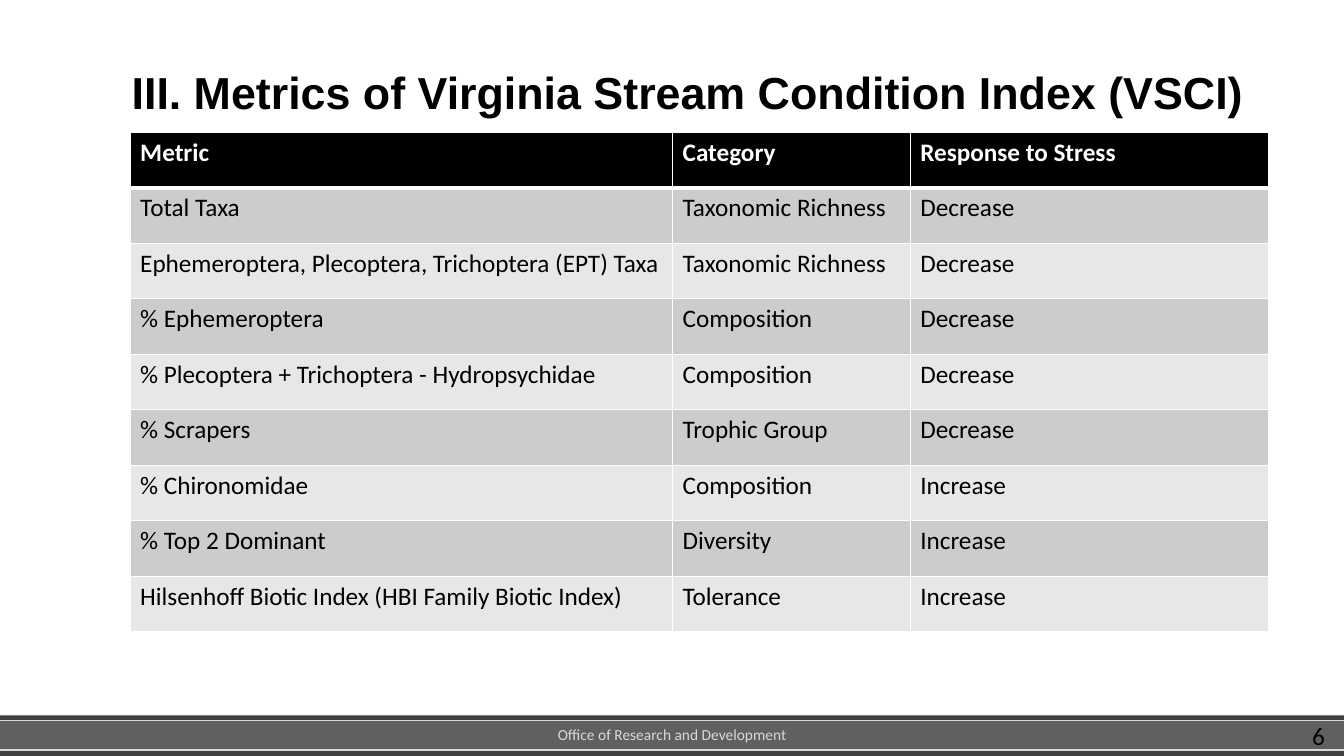
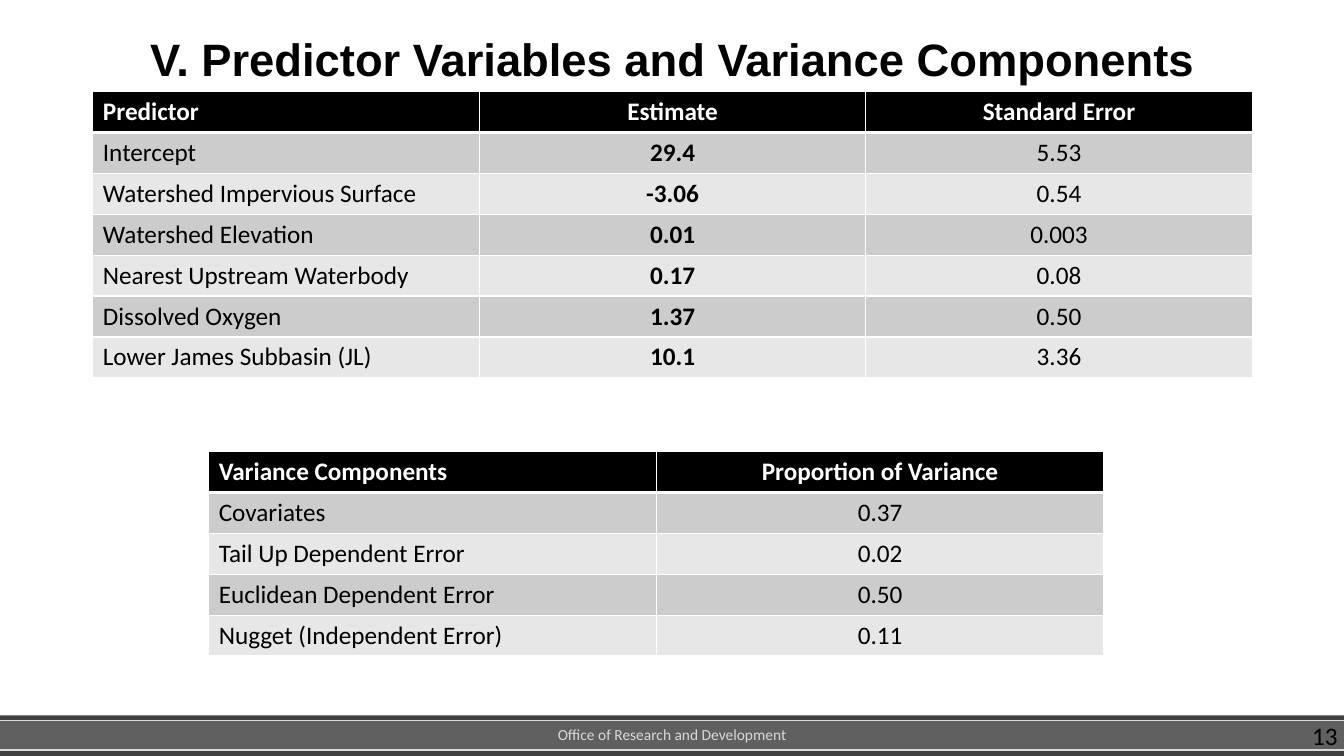
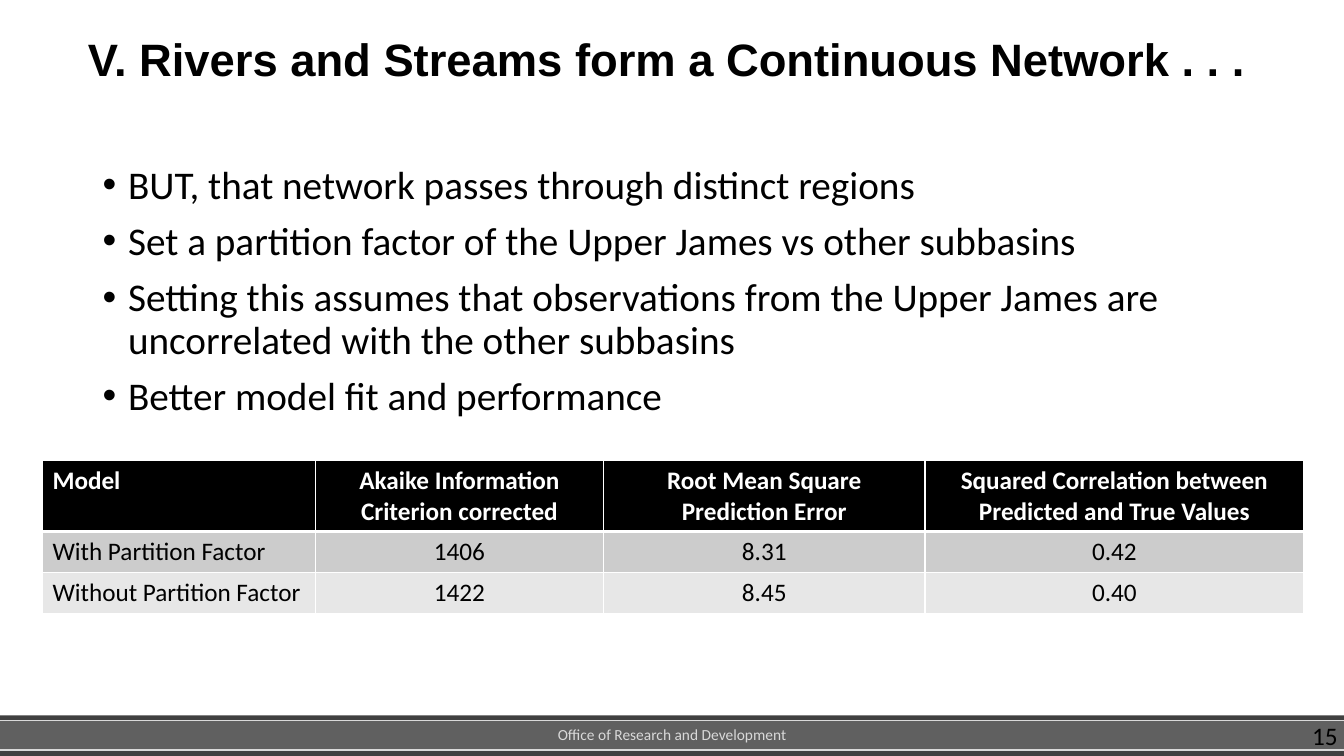
from lxml import etree
from pptx import Presentation
from pptx.dml.color import RGBColor
from pptx.enum.shapes import MSO_CONNECTOR, MSO_SHAPE
from pptx.enum.text import MSO_ANCHOR, MSO_AUTO_SIZE, PP_ALIGN
from pptx.oxml.ns import qn
from pptx.util import Cm, Pt

LEFT, CENTER = PP_ALIGN.LEFT, PP_ALIGN.CENTER
TOP, MIDDLE = MSO_ANCHOR.TOP, MSO_ANCHOR.MIDDLE
FIXED_SIZE = MSO_AUTO_SIZE.NONE
RECTANGLE = MSO_SHAPE.RECTANGLE
STRAIGHT = MSO_CONNECTOR.STRAIGHT
TITLE_ONLY = 5

WIDTH, HEIGHT = 33.87, 19.05
BAND_TOP, STRIPE_TOP, STRIPE_BOTTOM = 18.03, 18.16, 18.9


def color(hex_text):
    return RGBColor.from_string(hex_text)


class Deck:
    """Holds the shared style and the slide being built."""

    TITLE_FONT, BODY_FONT = "Arial", "Calibri"
    BLACK, WHITE = "000000", "FFFFFF"
    BAND, STRIPE, FOOTER = "404040", "606060", "D9D9D9"
    ROW_FILLS = ("CCCCCC", "E7E7E7")

    def __init__(self):
        self.presentation = Presentation()
        self.presentation.slide_width = Cm(WIDTH)
        self.presentation.slide_height = Cm(HEIGHT)
        self.slide = None

    def new_slide(self, title, number, box, title_size=32.4):
        layout = self.presentation.slide_layouts[TITLE_ONLY]
        self.slide = self.presentation.slides.add_slide(layout)
        self.footer(number)
        self.title(title, box, title_size)

    def title(self, text, box, size):
        heading = self.slide.shapes.title
        heading.left, heading.top, heading.width, heading.height = map(Cm, box)
        frame = heading.text_frame
        frame.text = text
        frame.word_wrap = True
        frame.auto_size = FIXED_SIZE
        frame.vertical_anchor = MIDDLE
        paragraph = frame.paragraphs[0]
        paragraph.alignment = CENTER
        paragraph.line_spacing = 0.9
        self.font(paragraph, size, bold=True, name=self.TITLE_FONT)

    def footer(self, number):
        self.bar(BAND_TOP, HEIGHT, self.BAND)
        self.bar(STRIPE_TOP, STRIPE_BOTTOM, self.STRIPE)
        for y in (STRIPE_TOP, STRIPE_BOTTOM):
            self.rule(y)
        self.text("Office of Research and Development", (9.88, 17.88, 14.12, 1.27),
                  11, self.FOOTER, CENTER, MIDDLE)
        page = self.text(str(number), (32.82, BAND_TOP, 1.05, 1.02), 18, self.BLACK)
        page.margin_right = 0
        page.word_wrap = False

    def bar(self, top, bottom, fill):
        """Full-width rectangle between two heights."""
        shape = self.slide.shapes.add_shape(
            RECTANGLE, 0, Cm(top), Cm(WIDTH), Cm(bottom - top))
        shape.shadow.inherit = False
        shape.fill.solid()
        shape.fill.fore_color.rgb = color(fill)
        shape.line.fill.background()

    def rule(self, y):
        """Full-width thin line."""
        line = self.slide.shapes.add_connector(STRAIGHT, 0, Cm(y), Cm(WIDTH), Cm(y))
        line.line.color.rgb = color(self.FOOTER)
        line.line.width = Pt(0.75)
        etree.SubElement(line._element.spPr, qn("a:effectLst"))

    def text(self, text, box, size, text_color, align=LEFT, anchor=TOP):
        frame = self.slide.shapes.add_textbox(*map(Cm, box)).text_frame
        frame.word_wrap = True
        frame.vertical_anchor = anchor
        frame.text = text
        for paragraph in frame.paragraphs:
            paragraph.alignment = align
            self.font(paragraph, size, text_color)
        return frame

    def bullets(self, items, box):
        frame = self.text("\n".join(items), box, 28, self.BLACK)
        for index, paragraph in enumerate(frame.paragraphs):
            properties = paragraph._p.get_or_add_pPr()
            properties.set("marL", str(Cm(0.64)))
            properties.set("indent", str(-Cm(0.64)))
            bullet_font = etree.Element(qn("a:buFont"), typeface="Arial")
            bullet = etree.Element(qn("a:buChar"), char="•")
            properties.insert(0, bullet_font)
            properties.insert(1, bullet)
            paragraph.line_spacing = 0.9
            if index:
                paragraph.space_before = Pt(10)

    def table(self, rows, left, top, widths, row_height, header_height=None,
              align=CENTER, bold_column=None):
        """Header plus striped rows; align applies after the first column."""
        heights = [header_height or row_height] + [row_height] * (len(rows) - 1)
        table = self.slide.shapes.add_table(
            len(rows), len(widths), Cm(left), Cm(top),
            Cm(sum(widths)), Cm(sum(heights))).table
        for column, width in zip(table.columns, widths):
            column.width = Cm(width)
        for r, (values, height) in enumerate(zip(rows, heights)):
            table.rows[r].height = Cm(height)
            is_header = r == 0
            fill = self.BLACK if is_header else self.ROW_FILLS[(r - 1) % 2]
            for c, value in enumerate(values):
                cell = table.cell(r, c)
                cell.text = value
                self.borders(cell, top=3 if r == 1 else 1, bottom=3 if is_header else 1)
                cell.fill.solid()
                cell.fill.fore_color.rgb = color(fill)
                for paragraph in cell.text_frame.paragraphs:
                    paragraph.alignment = align if c else LEFT
                    self.font(paragraph, 18, self.WHITE if is_header else self.BLACK,
                              bold=is_header or c == bold_column)

    def borders(self, cell, top, bottom):
        properties = cell._tc.get_or_add_tcPr()
        for side, points in (("L", 1), ("R", 1), ("T", top), ("B", bottom)):
            line = etree.SubElement(properties, qn("a:ln" + side), w=str(Pt(points)))
            fill = etree.SubElement(line, qn("a:solidFill"))
            etree.SubElement(fill, qn("a:srgbClr"), val=self.WHITE)

    def font(self, paragraph, size, text_color=BLACK, bold=False, name=BODY_FONT):
        font = paragraph.font
        font.name, font.size, font.bold = name, Pt(size), bold
        font.color.rgb = color(text_color)


def metrics_slide(deck):
    deck.new_slide("III. Metrics of Virginia Stream Condition Index (VSCI)", 6,
                   (2.74, 0.74, 29.21, 3.3), title_size=32)
    deck.table([
        ("Metric", "Category", "Response to Stress"),
        ("Total Taxa", "Taxonomic Richness", "Decrease"),
        ("Ephemeroptera, Plecoptera, Trichoptera (EPT) Taxa", "Taxonomic Richness",
         "Decrease"),
        ("% Ephemeroptera", "Composition", "Decrease"),
        ("% Plecoptera + Trichoptera - Hydropsychidae", "Composition", "Decrease"),
        ("% Scrapers", "Trophic Group", "Decrease"),
        ("% Chironomidae", "Composition", "Increase"),
        ("% Top 2 Dominant", "Diversity", "Increase"),
        ("Hilsenhoff Biotic Index (HBI Family Biotic Index)", "Tolerance", "Increase"),
    ], 3.28, 3.33, (13.67, 5.99, 9.04), 1.4, align=LEFT)


def variance_slide(deck):
    deck.new_slide("V. Predictor Variables and Variance Components", 13,
                   (2.34, 0.46, 29.21, 2.18))
    deck.table([
        ("Predictor", "Estimate", "Standard Error"),
        ("Intercept", "29.4", "5.53"),
        ("Watershed Impervious Surface", "-3.06", "0.54"),
        ("Watershed Elevation", "0.01", "0.003"),
        ("Nearest Upstream Waterbody", "0.17", "0.08"),
        ("Dissolved Oxygen", "1.37", "0.50"),
        ("Lower James Subbasin (JL)", "10.1", "3.36"),
    ], 2.34, 2.31, [9.74] * 3, 1.03, bold_column=1)
    deck.table([
        ("Variance Components", "Proportion of Variance"),
        ("Covariates", "0.37"),
        ("Tail Up Dependent Error", "0.02"),
        ("Euclidean Dependent Error", "0.50"),
        ("Nugget (Independent Error)", "0.11"),
    ], 5.26, 11.38, [11.28] * 2, 1.03)


def network_slide(deck):
    deck.new_slide("V. Rivers and Streams form a Continuous Network . . .", 15,
                   (0.74, 0.46, 32.13, 2.18))
    deck.bullets([
        "BUT, that network passes through distinct regions",
        "Set a partition factor of the Upper James vs other subbasins",
        "Setting this assumes that observations from the Upper James are "
        "uncorrelated with the other subbasins",
        "Better model fit and performance",
    ], (2.34, 4.04, 29.21, 7))
    deck.table([
        ("Model", "Akaike Information\nCriterion corrected",
         "Root Mean Square\nPrediction Error",
         "Squared Correlation between Predicted and True Values"),
        ("With Partition Factor", "1406", "8.31", "0.42"),
        ("Without Partition Factor", "1422", "8.45", "0.40"),
    ], 1.07, 11.61, (6.88, 7.26, 8.1, 9.55), 1.03, header_height=1.78)


def main():
    deck = Deck()
    metrics_slide(deck)
    variance_slide(deck)
    network_slide(deck)
    deck.presentation.save("out.pptx")


if __name__ == "__main__":
    main()
